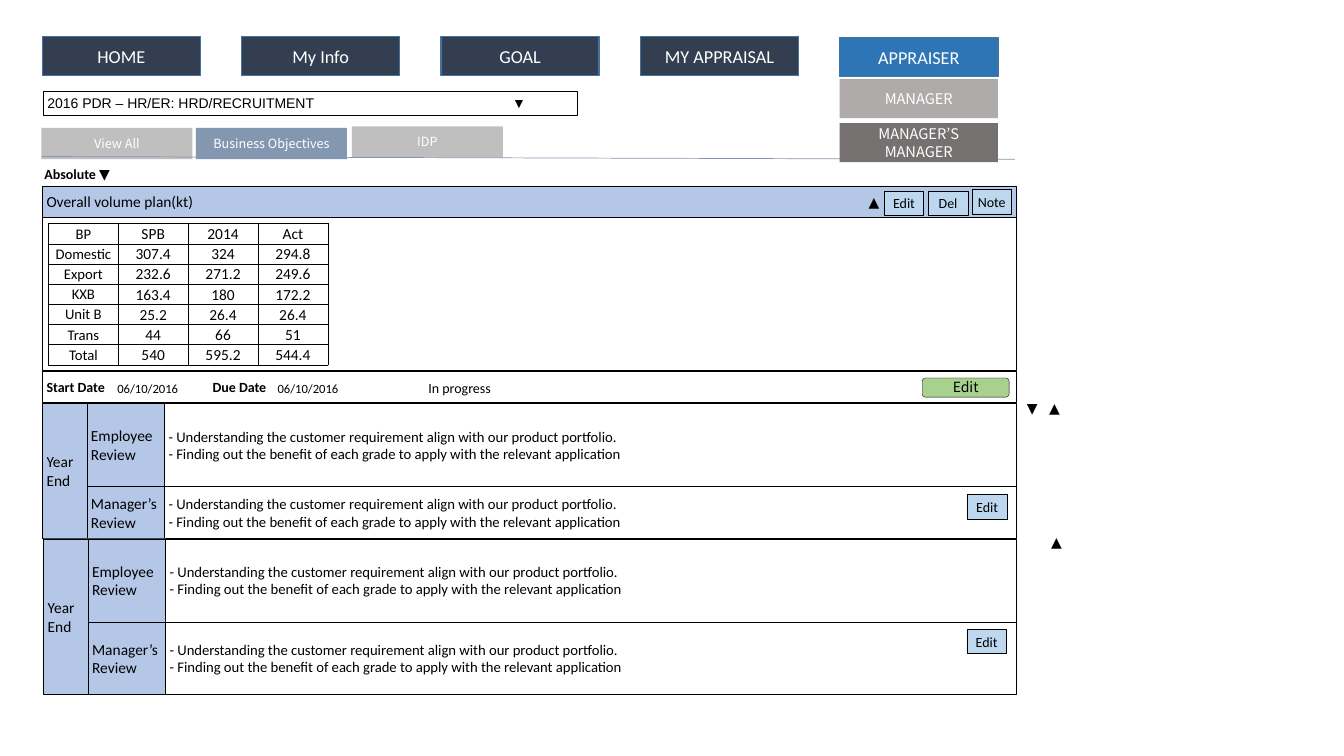
from dataclasses import dataclass

from lxml import etree
from pptx import Presentation
from pptx import util as u
from pptx.dml import color
from pptx.enum import shapes, text
from pptx.oxml import ns


@dataclass(frozen=True)
class Theme:
    body: str = "Calibri"
    form: str = "Arial"
    button: str = "Noto Sans CJK KR"
    black: str = "000000"
    white: str = "FFFFFF"
    navy: str = "333F50"
    nav_edge: str = "43739E"
    active: str = "2E75B6"
    manager: str = "AFABAB"
    senior: str = "767171"
    tab: str = "BFBFBF"
    tab_active: str = "8497B0"
    header: str = "B4C7E7"
    edit: str = "BDD7EE"
    save: str = "A9D18E"
    nav_size: float = 13
    label_size: float = 11
    review_size: float = 10.5
    small_size: float = 10
    tiny_size: float = 9


theme = Theme()
Pt = u.Pt
CENTER, LEFT = text.PP_ALIGN.CENTER, text.PP_ALIGN.LEFT
MIDDLE, TOP = text.MSO_ANCHOR.MIDDLE, text.MSO_ANCHOR.TOP
THIN = 0.25

deck = Presentation()
deck.slide_width, deck.slide_height = Pt(960), Pt(540)
page = deck.slides.add_slide(deck.slide_layouts[6])


def add_text(para, content, size, font=theme.body, ink=theme.black, bold=False, align=LEFT):
    para.alignment = align
    for index, line in enumerate(content.split("\n")):
        if index:
            para.add_line_break()
        span = para.add_run()
        span.text = line
        span.font.size, span.font.name, span.font.bold = Pt(size), font, bold
        span.font.color.rgb = color.RGBColor.from_string(ink)


def add_box(place, lines=(), size=theme.small_size, fill=None, edge=None, weight=THIN,
            inset=(2.9, 2.9), anchor=MIDDLE, tab_stop=None,
            kind=shapes.MSO_SHAPE.RECTANGLE, **style):
    box = page.shapes.add_shape(kind, *[Pt(value) for value in place])
    box.shadow.inherit = False
    for paint, shade in ((box.fill, fill), (box.line.fill, edge)):
        if shade:
            paint.solid()
            paint.fore_color.rgb = color.RGBColor.from_string(shade)
        else:
            paint.background()
    if edge:
        box.line.width = Pt(weight)
    frame = box.text_frame
    frame.word_wrap, frame.vertical_anchor = True, anchor
    frame.margin_left = frame.margin_right = Pt(inset[0])
    frame.margin_top = frame.margin_bottom = Pt(inset[1])
    for index, line in enumerate(lines):
        para = frame.add_paragraph() if index else frame.paragraphs[0]
        if tab_stop:
            stops = etree.SubElement(para._p.get_or_add_pPr(), ns.qn("a:tabLst"))
            etree.SubElement(stops, ns.qn("a:tab"), pos=str(Pt(tab_stop)), algn="l")
        add_text(para, line, size, **style)
    return box


# Main navigation
for index, label in enumerate(["HOME", "My Info", "GOAL", "MY APPRAISAL", "APPRAISER"]):
    current = label == "APPRAISER"
    add_box((30.2 + 142.4 * index, 26.7 if current else 26, 113, 28), [label], theme.nav_size,
            theme.active if current else theme.navy, theme.nav_edge, 1, (7.2, 3.6),
            ink=theme.white, align=CENTER)

# Plan selector
add_box((31, 64.8, 381, 17.3), ["2016 PDR – HR/ER: HRD/RECRUITMENT\t▼"], edge=theme.black,
        tab_stop=332, font=theme.form)

# Tabs and the rule beneath them
for label, left, top, fill in [("View All", 29.5, 91.4, theme.tab),
                               ("Business Objectives", 139.9, 91.4, theme.tab_active),
                               ("IDP", 251.3, 90.2, theme.tab)]:
    add_box((left, top, 108, 22.3), [label], theme.tiny_size, fill, inset=(7.2, 3.6),
            font=theme.button, ink=theme.white, align=CENTER)
rule = page.shapes.add_connector(shapes.MSO_CONNECTOR.STRAIGHT,
                                 Pt(30), Pt(111.8), Pt(725), Pt(113.8))
rule.line.width = Pt(0.5)
rule.line.color.rgb = color.RGBColor.from_string(theme.tab_active)
etree.SubElement(rule._element.spPr, ns.qn("a:effectLst"))

# Appraiser menu
for label, top, fill in [("MANAGER", 56.4, theme.manager),
                         ("MANAGER’S MANAGER", 87.9, theme.senior)]:
    add_box((599.8, top, 113, 28), [label], theme.review_size, fill, inset=(7.2, 3.6),
            font=theme.button, ink=theme.white, align=CENTER)

# Volume plan panel
absolute = add_box((30.4, 116.6, 119.5, 15.1), ["Absolute "], inset=(1.4, 1.4),
                   anchor=TOP, bold=True)
add_text(absolute.text_frame.paragraphs[0], "▼", theme.small_size)
add_box((30.4, 154.4, 695.5, 110.2), edge=theme.black)
add_box((30.4, 132.8, 695.5, 22.3), ["Overall volume plan(kt)"], theme.label_size,
        theme.header, theme.black)
add_box((30.4, 265, 695.5, 22.3), ["Start Date\tDue Date"], edge=theme.black,
        tab_stop=118.6, bold=True)

# Volume table
volumes = [
    ("BP", "SPB", "2014", "Act"),
    ("Domestic", "307.4", "324", "294.8"),
    ("Export", "232.6", "271.2", "249.6"),
    ("KXB", "163.4", "180", "172.2"),
    ("Unit B", "25.2", "26.4", "26.4"),
    ("Trans", "44", "66", "51"),
    ("Total", "540", "595.2", "544.4"),
]
table = page.shapes.add_table(7, 4, Pt(34.6), Pt(159.8), Pt(199.6), Pt(100.8)).table
table.first_row = table.horz_banding = False
for column in table.columns:
    column.width = Pt(49.9)
for row, values in zip(table.rows, volumes):
    row.height = Pt(14.4)
    for index, (cell, value) in enumerate(zip(row.cells, values)):
        cell.fill.background()
        cell.vertical_anchor = MIDDLE
        cell.margin_left = cell.margin_right = cell.margin_top = Pt(0.7)
        cell.margin_bottom = 0
        add_text(cell.text_frame.paragraphs[0], value,
                 theme.label_size if index else theme.review_size, align=CENTER)
        properties = cell._tc.get_or_add_tcPr()
        for position, side in enumerate(["lnL", "lnR", "lnT", "lnB"]):
            border = etree.Element(ns.qn("a:" + side), w=str(Pt(0.5)))
            paint = etree.SubElement(border, ns.qn("a:solidFill"))
            etree.SubElement(paint, ns.qn("a:srgbClr"), val=theme.black)
            properties.insert(position, border)

# Dates and status
for left in (78.5, 193):
    add_box((left, 271.4, 54, 11.5), ["06/10/2016"], theme.tiny_size, align=CENTER)
add_box((293, 271.4, 70.6, 11.5), ["In progress"], fill=theme.white, align=CENTER)
add_box((658.8, 270, 62, 13.7), ["Edit"], fill=theme.save, edge=theme.black, inset=(1.4, 0),
        anchor=TOP, kind=shapes.MSO_SHAPE.ROUNDED_RECTANGLE, font=theme.button, align=CENTER)

# Year-end reviews: left, top, height of the employee and manager rows
review = ["- Understanding the customer requirement align with our product portfolio.",
          "- Finding out the benefit of each grade to apply with the relevant application"]
for left, top, heights in [(30.4, 288.2, (59.4, 37.2)), (31.2, 384.8, (59.4, 52))]:
    add_box((left, top, 31.7, sum(heights)), ["Year\nEnd"], theme.label_size,
            theme.header, theme.black)
    row_top = top
    for who, height in zip(["Employee", "Manager’s"], heights):
        add_box((left + 31.7, row_top, 55.4, height), [who + "\nReview"], theme.label_size,
                theme.header, theme.black)
        add_box((left + 87.1, row_top, 638.8 - left, height), review, theme.review_size,
                edge=theme.black)
        row_top += height

# Small buttons
for label, left, top in [("Edit", 631.6, 136.3), ("Del", 663.1, 136.3), ("Note", 694.3, 135.4),
                         ("Edit", 691, 353.3), ("Edit", 690.6, 449.6)]:
    add_box((left, top, 28.2, 17.3), [label], fill=theme.edit, edge=theme.black, align=CENTER)

# Sort arrows
for arrow, left, top in [("▲", 613.4, 134.6), ("▼", 726.5, 281.5),
                         ("▲", 742.3, 281.5), ("▲", 743.8, 377.3)]:
    add_box((left, top, 17.3, 19.4), [arrow], inset=(7.2, 3.6), anchor=TOP, align=CENTER)

deck.save("out.pptx")
